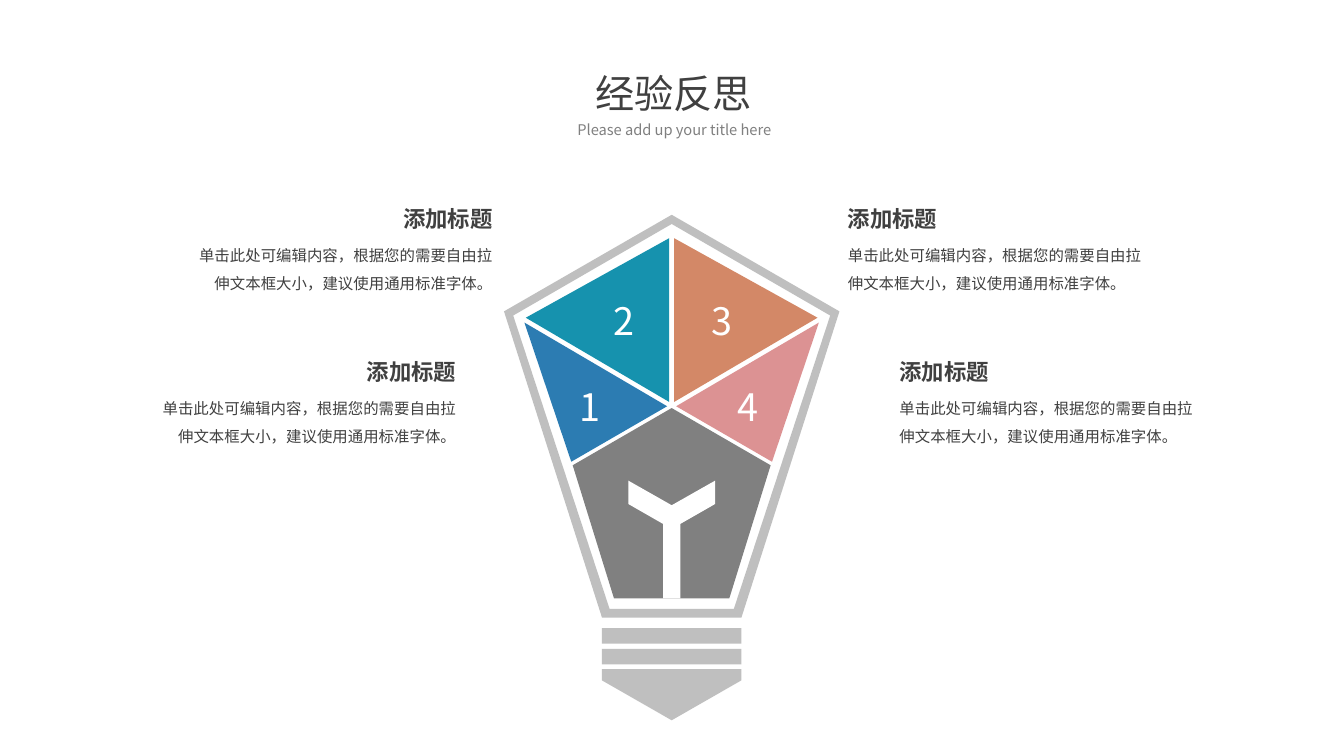
from lxml.etree import SubElement
from pptx import Presentation
from pptx.dml.color import RGBColor
from pptx.enum.shapes import MSO_SHAPE
from pptx.enum.text import MSO_AUTO_SIZE, PP_ALIGN
from pptx.oxml.ns import qn
from pptx.util import Pt

FONT = "Noto Sans CJK SC"
CENTER = 479.8
SILVER = "BFBFBF"
GRAY = "808080"
DARK = "404040"
WHITE = "FFFFFF"
HEADING = "添加标题"
BODY = "单击此处可编辑内容，根据您的需要自由拉伸文本框大小，建议使用通用标准字体。"


def color(value):
    return RGBColor.from_string(value)


def paint(shape, fill):
    shape.shadow.inherit = False
    shape.fill.solid()
    shape.fill.fore_color.rgb = color(fill)
    shape.line.fill.background()


def add_polygon(slide, contours, fill):
    contours = [[(Pt(CENTER + x), Pt(y)) for x, y in contour] for contour in contours]
    builder = slide.shapes.build_freeform(*contours[0][0])
    builder.add_line_segments(contours[0][1:], close=True)
    for contour in contours[1:]:
        builder.move_to(*contour[0])
        builder.add_line_segments(contour[1:], close=True)
    paint(builder.convert_to_shape(), fill)


def mirror(points):
    return [(-x, y) for x, y in points]


def symmetric(half):
    return half + [(x, y) for x, y in reversed(mirror(half)) if x]


def add_bar(slide, left, top, width, height, fill):
    bar = slide.shapes.add_shape(MSO_SHAPE.RECTANGLE, Pt(left), Pt(top), Pt(width), Pt(height))
    paint(bar, fill)


def add_text(slide, text, left, top, width, height, size=11, fill=DARK, bold=False,
             align=PP_ALIGN.CENTER, spacing=1.0, inset=None):
    box = slide.shapes.add_textbox(Pt(left), Pt(top), Pt(width), Pt(height))
    frame = box.text_frame
    frame.word_wrap = True
    frame.auto_size = MSO_AUTO_SIZE.SHAPE_TO_FIT_TEXT
    if inset is not None:
        frame.margin_left = frame.margin_right = Pt(inset)
        frame.margin_top = frame.margin_bottom = Pt(inset)
    paragraph = frame.paragraphs[0]
    paragraph.alignment = align
    paragraph.line_spacing = spacing
    run = paragraph.add_run()
    run.text = text
    run.font.size = Pt(size)
    run.font.bold = bold
    run.font.color.rgb = color(fill)
    run.font.name = FONT
    SubElement(run.font._element, qn("a:ea")).set("typeface", FONT)


def add_callout(slide, edge, top, align):
    for text, offset, width, height, style in (
        (BODY, 26.6, 225.4, 47.5, {"spacing": 1.5}),
        (HEADING, 0, 161.3, 30.2, {"size": 16, "bold": True, "spacing": 1.2}),
    ):
        left = edge - width if align == PP_ALIGN.RIGHT else edge
        add_text(slide, text, left, top + offset, width, height, align=align, **style)


def add_bulb(slide):
    outer = symmetric([(0, 153.4), (119.8, 222.4), (49.8, 441.1)])
    inner = symmetric([(0, 160), (113.2, 225.4), (44.4, 434.9)])
    add_polygon(slide, [outer, inner], SILVER)
    add_polygon(slide, [symmetric([(0, 514.5), (49.8, 486), (49.8, 478)])], SILVER)
    for row in range(2):
        add_bar(slide, CENTER - 49.8, 448.6 + 14.8 * row, 99.6, 11.2, SILVER)
    add_polygon(slide, [symmetric([(0, 291.5), (70.7, 332.4), (41.2, 427.4)])], GRAY)
    filament = [(0, 360.9), (31, 343.3), (31, 360), (6.2, 374.2), (6.2, 427.4)]
    add_polygon(slide, [symmetric(filament)], WHITE)


def add_segments(slide):
    upper = [(104.2, 227), (1.8, 170.2), (1.8, 287.1)]
    lower = [(71.7, 329.8), (105.2, 230.4), (3.2, 290.2)]
    for number, points, fill, left, top in (
        ("1", mirror(lower), "2C7CB2", 402.5, 274.3),
        ("2", mirror(upper), "1692AE", 427, 212.4),
        ("3", upper, "D38867", 496.8, 212.4),
        ("4", lower, "DC9293", 515.5, 274.3),
    ):
        add_polygon(slide, [points], fill)
        add_text(slide, number, left, top, 37.4, 32.4, size=27, fill=WHITE, inset=0)


def main():
    presentation = Presentation()
    presentation.slide_width = Pt(960)
    presentation.slide_height = Pt(540)
    slide = presentation.slides.add_slide(presentation.slide_layouts[6])
    add_bulb(slide)
    add_segments(slide)
    for top, left_edge, right_edge in ((139, 359, 598.6), (248.4, 333, 635.4)):
        add_callout(slide, left_edge, top, PP_ALIGN.RIGHT)
        add_callout(slide, right_edge, top, PP_ALIGN.LEFT)
    add_text(slide, "经验反思", 403.2, 46.1, 155.5, 41, size=28)
    add_text(slide, "Please add up your title here", 399.6, 79.9, 164.2, 22.3,
             size=10.5, fill=GRAY, spacing=1.2)
    presentation.save("out.pptx")


if __name__ == "__main__":
    main()
